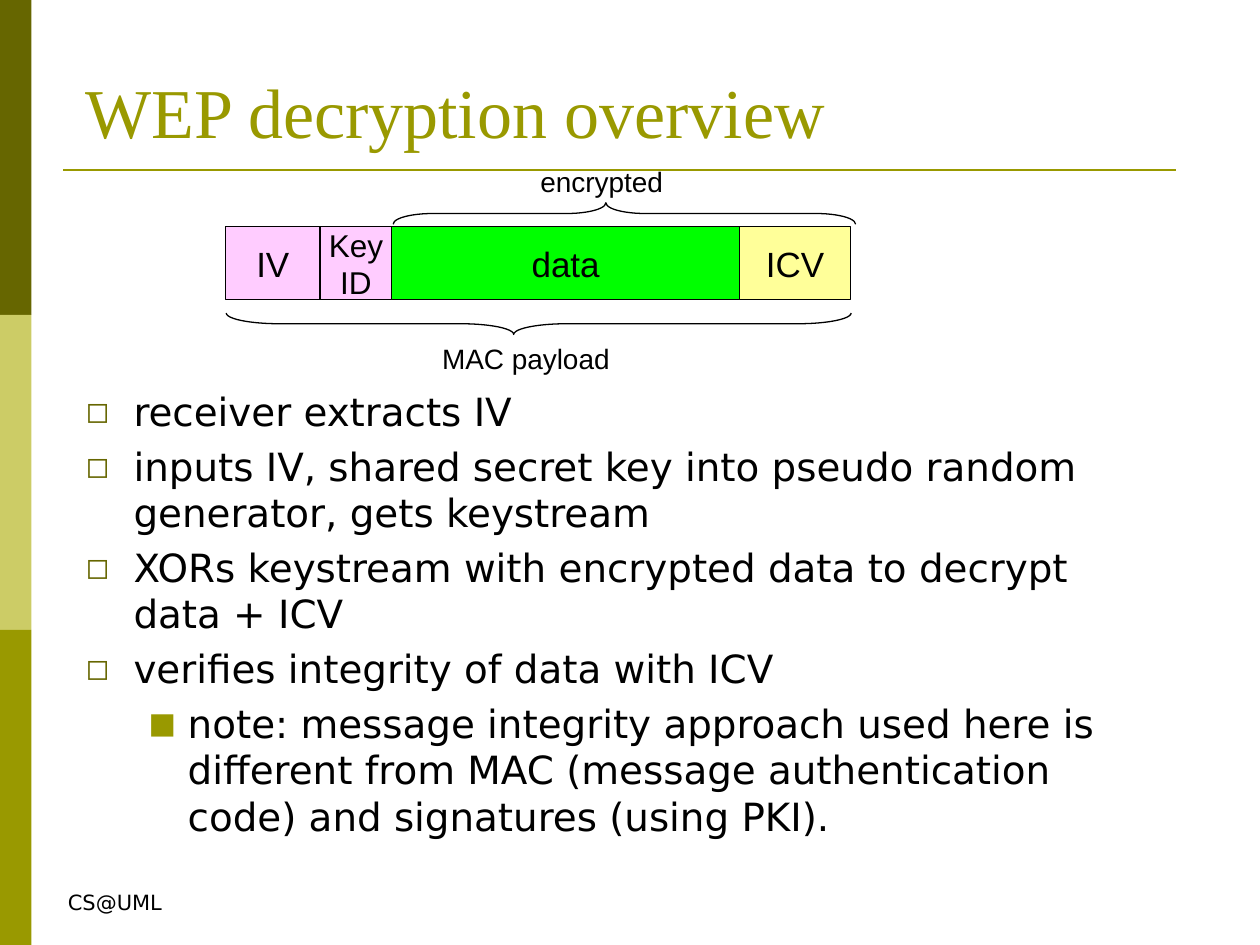
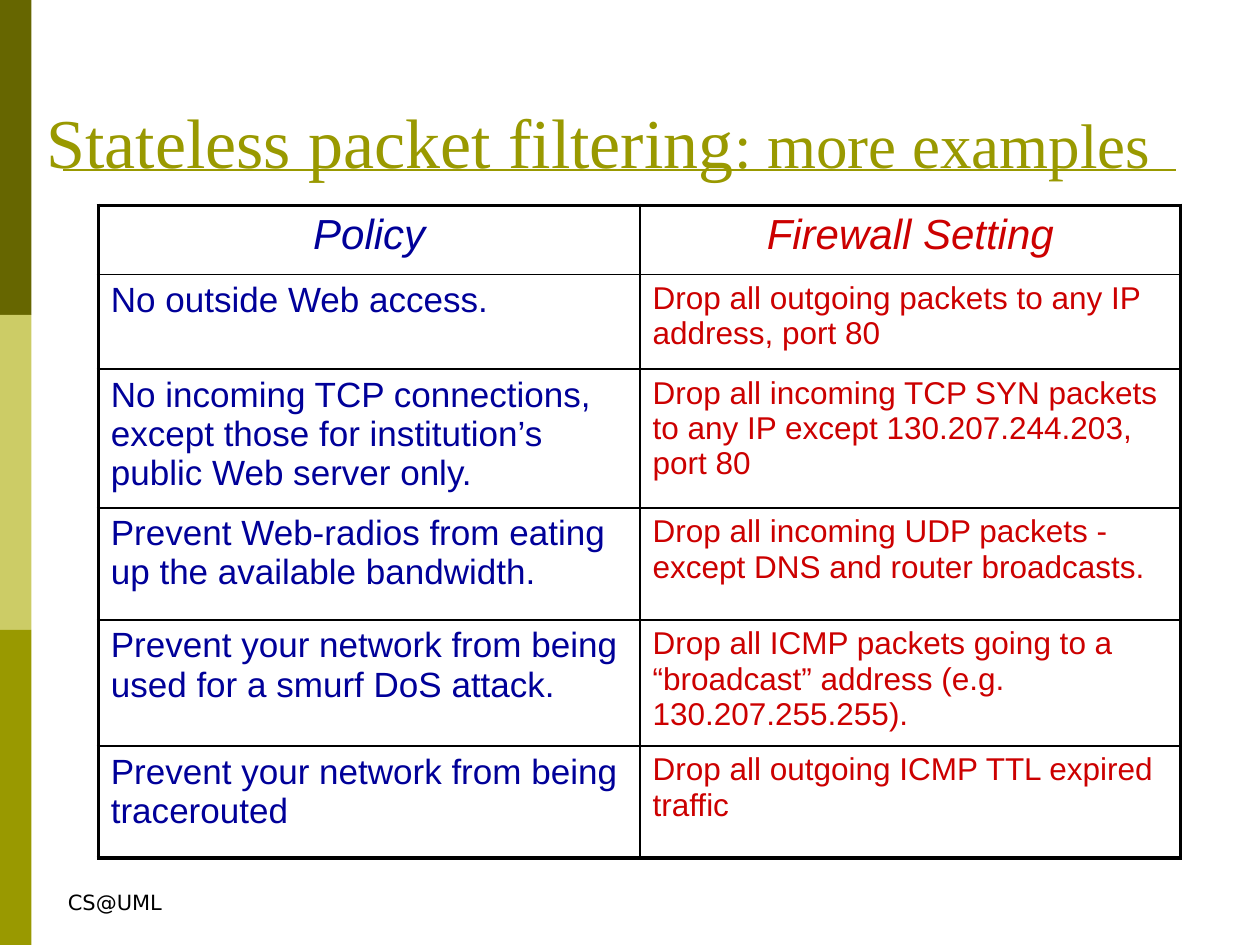
from typing import NamedTuple

from lxml.etree import SubElement
from pptx import Presentation
from pptx.dml.color import RGBColor
from pptx.enum.shapes import MSO_CONNECTOR as Connector, MSO_SHAPE as Preset
from pptx.enum.text import MSO_ANCHOR as Anchor, MSO_AUTO_SIZE as AutoSize, PP_ALIGN as Align
from pptx.oxml.ns import qn
from pptx.util import Inches, Pt

BLACK, OLIVE, DARK_OLIVE, LIGHT_OLIVE = "000000", "999900", "666600", "CCCC66"
PINK, GREEN, YELLOW = "FFCCFF", "00FF00", "FFFF99"
POLICY_BLUE, SETTING_RED = "000099", "CC0000"
SANS, SERIF, BODY_FONT = "Arial", "Times New Roman", "DejaVu Sans"
BANDS = (DARK_OLIVE, LIGHT_OLIVE, OLIVE)
BAND_HEIGHT = 2.5
THIN, THICK = 1, 2.25


class Box(NamedTuple):
    left: float
    top: float
    width: float
    height: float

    def lengths(self) -> list:
        return [Inches(value) for value in self]


class PacketField(NamedTuple):
    label: str
    width: float
    fill: str
    size: float = 20


class Brace(NamedTuple):
    box: Box
    rotation: float
    curve: float
    flipped: bool = False


class Caption(NamedTuple):
    text: str
    box: Box


class BulletStyle(NamedTuple):
    symbol: str
    color: str
    margin: float
    hanging: float


class Bullet(NamedTuple):
    text: str
    level: int = 0


class Rule(NamedTuple):
    policy: str
    setting: str
    height: float


BULLET_STYLES = (
    BulletStyle("◻", DARK_OLIVE, 0.38, 0.38),
    BulletStyle("■", OLIVE, 0.81, 0.31),
)

PACKET_LEFT, PACKET_TOP, PACKET_HEIGHT = 1.79, 1.8, 0.58
PACKET_FIELDS = (
    PacketField("IV", 0.75, PINK),
    PacketField("Key\nID", 0.57, PINK, 18),
    PacketField("data", 2.76, GREEN),
    PacketField("ICV", 0.88, YELLOW),
)
BRACES = (
    Brace(Box(4.87, -0.14, 0.17, 3.67), 90, 1.84),
    Brace(Box(4.19, 0.09, 0.17, 4.96), 270, 2.48, flipped=True),
)
CAPTIONS = (
    Caption("encrypted", Box(4.19, 1.26, 1.19, 0.37)),
    Caption("MAC payload", Box(3.41, 2.66, 1.55, 0.37)),
)
DECRYPTION_STEPS = (
    Bullet("receiver extracts IV"),
    Bullet("inputs IV, shared secret key into pseudo random generator, gets keystream"),
    Bullet("XORs keystream with encrypted data to decrypt data + ICV"),
    Bullet("verifies integrity of data with ICV"),
    Bullet("note: message integrity approach used here is different from MAC "
           "(message authentication code) and signatures (using PKI).", 1),
)
FIREWALL_RULES = (
    Rule("Policy", "Firewall Setting", 0.55),
    Rule("No outside Web access.",
         "Drop all outgoing packets to any IP address, port 80", 0.75),
    Rule("No incoming TCP connections, except those for institution’s public Web server only.",
         "Drop all incoming TCP SYN packets to any IP except 130.207.244.203, port 80", 1.1),
    Rule("Prevent Web-radios from eating up the available bandwidth.",
         "Drop all incoming UDP packets - except DNS and router broadcasts.", 0.89),
    Rule("Prevent your network from being used for a smurf DoS attack.",
         "Drop all ICMP packets going to a “broadcast” address (e.g. 130.207.255.255).", 1),
    Rule("Prevent your network from being tracerouted",
         "Drop all outgoing ICMP TTL expired traffic", 0.89),
)


def rgb(color: str) -> RGBColor:
    return RGBColor.from_string(color)


def add_run(paragraph, text: str, *, size: float, font: str = SANS,
            color: str = BLACK, italic: bool = False) -> None:
    run = paragraph.add_run()
    run.text = text
    run.font.size, run.font.name, run.font.italic = Pt(size), font, italic
    run.font.color.rgb = rgb(color)


def write(frame, text: str, *, align=Align.LEFT, **format) -> None:
    """Fill an empty text frame, one paragraph for each line of text."""
    for index, line in enumerate(text.split("\n")):
        paragraph = frame.add_paragraph() if index else frame.paragraphs[0]
        paragraph.alignment = align
        add_run(paragraph, line, **format)


def place(shape, box: Box) -> None:
    shape.left, shape.top, shape.width, shape.height = box.lengths()


def add_shape(shapes, preset, box: Box, fill: str = "", line: str = ""):
    shape = shapes.add_shape(preset, *box.lengths())
    shape.shadow.inherit = False
    if fill:
        shape.fill.solid()
        shape.fill.fore_color.rgb = rgb(fill)
    else:
        shape.fill.background()
    if line:
        shape.line.color.rgb = rgb(line)
        shape.line.width = Pt(0.75)
    else:
        shape.line.fill.background()
    return shape


def add_label(shapes, text: str, box: Box, **format) -> None:
    frame = shapes.add_textbox(*box.lengths()).text_frame
    frame.word_wrap = False
    frame.auto_size = AutoSize.SHAPE_TO_FIT_TEXT
    write(frame, text, **format)


def add_slide(presentation, layout: int, title: str, title_box: Box):
    """Add a slide with the side bands, title, title rule and footer."""
    slide = presentation.slides.add_slide(presentation.slide_layouts[layout])
    for index, color in enumerate(BANDS):
        add_shape(slide.shapes, Preset.RECTANGLE,
                  Box(0, index * BAND_HEIGHT, 0.25, BAND_HEIGHT), color)
    title_rule = slide.shapes.add_connector(
        Connector.STRAIGHT, Inches(0.5), Inches(1.35), Inches(9.33), Inches(1.35))
    title_rule.line.color.rgb = rgb(OLIVE)
    title_rule.line.width = Pt(1.5)
    SubElement(title_rule._element.spPr, qn("a:effectLst"))
    add_label(slide.shapes, "CS@UML", Box(0.44, 7.01, 0.95, 0.3), size=12, font=BODY_FONT)

    place(slide.shapes.title, title_box)
    frame = slide.shapes.title.text_frame
    frame.auto_size = AutoSize.NONE
    frame.vertical_anchor = Anchor.BOTTOM
    write(frame, title, size=40, font=SERIF, color=OLIVE)
    return slide


def set_bullet(paragraph, style: BulletStyle) -> None:
    properties = paragraph._p.get_or_add_pPr()
    properties.set("marL", str(Inches(style.margin)))
    properties.set("indent", str(-Inches(style.hanging)))
    bullet_color = SubElement(properties, qn("a:buClr"))
    SubElement(bullet_color, qn("a:srgbClr"), val=style.color)
    SubElement(properties, qn("a:buSzPct"), val="75000")
    SubElement(properties, qn("a:buFont"), typeface=BODY_FONT)
    SubElement(properties, qn("a:buChar"), char=style.symbol)


def write_bullets(frame, bullets: tuple[Bullet, ...]) -> None:
    frame.auto_size = AutoSize.NONE
    for index, bullet in enumerate(bullets):
        paragraph = frame.add_paragraph() if index else frame.paragraphs[0]
        paragraph.level = bullet.level
        set_bullet(paragraph, BULLET_STYLES[bullet.level])
        paragraph.line_spacing = Pt(26.5)
        paragraph.space_before = Pt(4.8 if index else 0)
        add_run(paragraph, bullet.text, size=22.2, font=BODY_FONT)


def draw_packet(shapes) -> None:
    left = PACKET_LEFT
    for field in PACKET_FIELDS:
        shape = add_shape(shapes, Preset.RECTANGLE,
                          Box(left, PACKET_TOP, field.width, PACKET_HEIGHT), field.fill, BLACK)
        shape.text_frame.word_wrap = False
        shape.text_frame.vertical_anchor = Anchor.MIDDLE
        write(shape.text_frame, field.label, align=Align.CENTER, size=field.size)
        left += field.width
    for brace in BRACES:
        shape = add_shape(shapes, Preset.LEFT_BRACE, brace.box, line=BLACK)
        shape.rotation = brace.rotation
        shape.adjustments[0], shape.adjustments[1] = brace.curve, 0.54
        if brace.flipped:
            shape._element.spPr.find(qn("a:xfrm")).set("flipV", "1")
    for caption in CAPTIONS:
        add_label(shapes, caption.text, caption.box, size=16)


def set_borders(cell, left: float, right: float, top: float, bottom: float) -> None:
    properties = cell._tc.get_or_add_tcPr()
    widths = {"a:lnL": left, "a:lnR": right, "a:lnT": top, "a:lnB": bottom}
    for position, (tag, width) in enumerate(widths.items()):
        line = SubElement(properties, qn(tag), w=str(Pt(width)))
        SubElement(SubElement(line, qn("a:solidFill")), qn("a:srgbClr"), val=BLACK)
        properties.insert(position, line)


def add_rule_table(slide, rules: tuple[Rule, ...], box: Box) -> None:
    table = slide.shapes.add_table(len(rules), 2, *box.lengths()).table
    table.first_row = table.horz_banding = False
    table.columns[0].width, table.columns[1].width = Inches(4.3), Inches(4.29)
    last = len(rules) - 1
    for row, rule in enumerate(rules):
        table.rows[row].height = Inches(rule.height)
        columns = ((rule.policy, POLICY_BLUE, 20), (rule.setting, SETTING_RED, 18))
        for column, (text, color, size) in enumerate(columns):
            cell = table.cell(row, column)
            cell.fill.background()
            set_borders(cell,
                        left=THIN if column else THICK, right=THICK if column else THIN,
                        top=THIN if row else THICK, bottom=THICK if row == last else THIN)
            header = row == 0
            write(cell.text_frame, text, align=Align.CENTER if header else Align.LEFT,
                  size=24 if header else size, color=color, italic=header)


def build_decryption_slide(presentation) -> None:
    slide = add_slide(presentation, 1, "WEP decryption overview", Box(0.58, 0.01, 8.5, 1.25))
    body = slide.placeholders[1]
    place(body, Box(0.58, 3.03, 8.5, 3.81))
    write_bullets(body.text_frame, DECRYPTION_STEPS)
    draw_packet(slide.shapes.add_group_shape().shapes)


def build_filtering_slide(presentation) -> None:
    slide = add_slide(presentation, 5, "Stateless packet filtering", Box(0.27, 0.25, 9.61, 1.25))
    add_run(slide.shapes.title.text_frame.paragraphs[0], ": more examples",
            size=36, font=SERIF, color=OLIVE)
    add_rule_table(slide, FIREWALL_RULES, Box(0.78, 1.63, 8.59, 5.18))


def main() -> None:
    presentation = Presentation()
    presentation.slide_width, presentation.slide_height = Inches(10), Inches(7.5)
    build_decryption_slide(presentation)
    build_filtering_slide(presentation)
    presentation.save("out.pptx")


if __name__ == "__main__":
    main()
